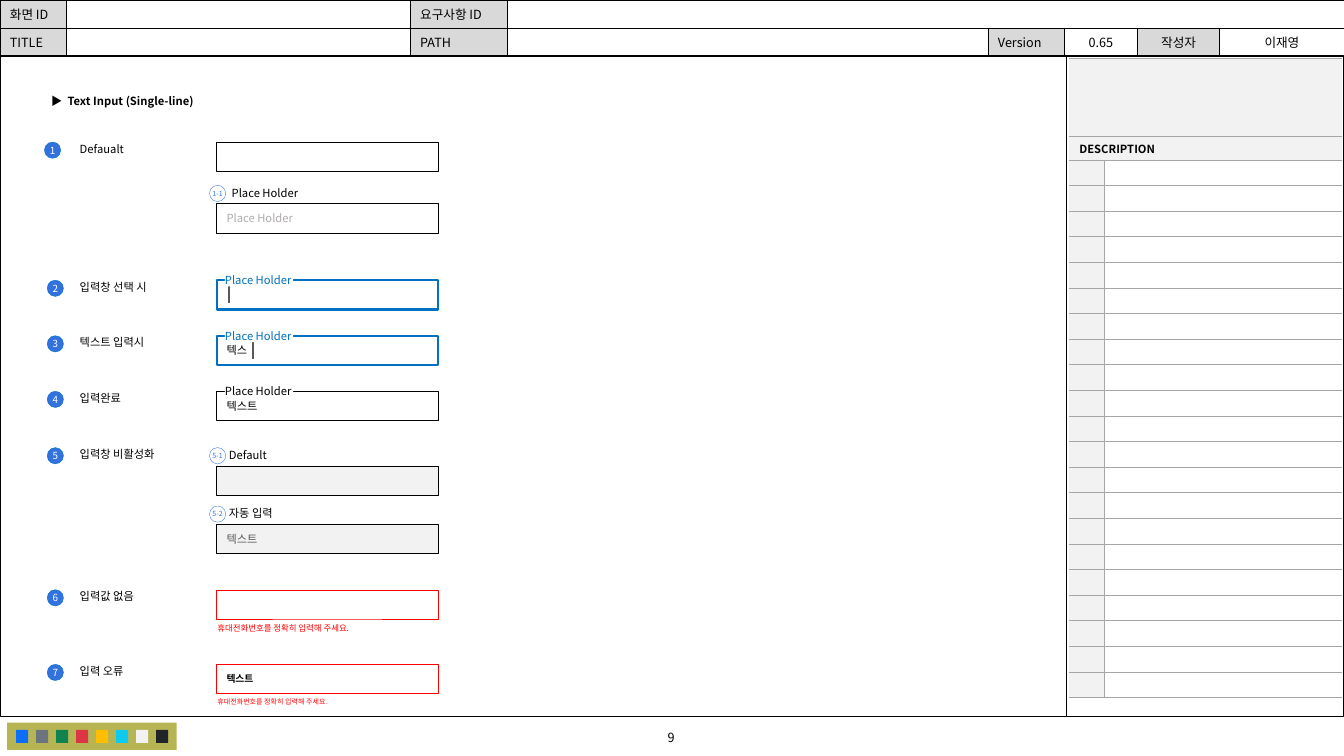
from lxml import etree
from pptx import Presentation
from pptx.dml.color import RGBColor
from pptx.enum.shapes import MSO_CONNECTOR, MSO_SHAPE
from pptx.enum.text import MSO_ANCHOR, MSO_AUTO_SIZE, PP_ALIGN
from pptx.oxml.ns import qn
from pptx.util import Cm, Pt

RECTANGLE, OVAL = MSO_SHAPE.RECTANGLE, MSO_SHAPE.OVAL
STRAIGHT = MSO_CONNECTOR.STRAIGHT
LEFT, CENTER = PP_ALIGN.LEFT, PP_ALIGN.CENTER
TOP, MIDDLE = MSO_ANCHOR.TOP, MSO_ANCHOR.MIDDLE
FONT = "Noto Sans CJK KR"
COLORS = {
    "black": "000000", "white": "FFFFFF", "header": "D9D9D9", "pale": "F2F2F2",
    "rule": "A6A6A6", "muted": "595959", "hint": "AFABAB", "focus": "0070C0",
    "badge": "3272DE", "error": "FF0000", "palette": "B7B553",
}
SWATCHES = ["0D6EFD", "6C757D", "10834E", "DC3545", "FFBE00", "0DCAF0", "F2F2F2", "212529"]
FIELD_LEFT, FIELD_WIDTH, FIELD_HEIGHT = 5.46, 5.59, 0.74
STATES = [
    ("Defaualt", 3.58), ("입력창 선택 시", 7.06), ("텍스트 입력시", 8.46), ("입력완료", 9.86),
    ("입력창 비활성화", 11.28), ("입력값 없음", 14.86), ("입력 오류", 16.74),
]
ERROR_MESSAGE = "휴대전화번호를 정확히 입력해 주세요."
HEADER_ROWS = [
    ["화면 ID", "", "요구사항 ID", "", "", "", "", ""],
    ["TITLE", "", "PATH", "", "Version", "0.65", "작성자", "이재영"],
]
HEADER_WIDTHS = [1.68, 8.66, 2.44, 12.12, 1.93, 1.83, 2.08, 3.13]


def rgb(name):
    return RGBColor.from_string(COLORS.get(name, name))


def write(frame, text, size=8, color="black", bold=False, align=LEFT, anchor=TOP,
          margins=(0.25, 0.13)):
    """Fill a text frame or table cell; margins are horizontal and vertical."""
    frame.margin_left = frame.margin_right = Cm(margins[0])
    frame.margin_top = frame.margin_bottom = Cm(margins[1])
    frame.vertical_anchor = anchor
    para = getattr(frame, "text_frame", frame).paragraphs[0]
    para.alignment = align
    if not text:
        etree.SubElement(para._p, qn("a:endParaRPr"), sz=str(size * 100))
        return
    span = para.add_run()
    span.text = text
    span.font.name, span.font.size, span.font.bold = FONT, Pt(size), bold
    span.font.color.rgb = rgb(color)
    etree.SubElement(span.font._element, qn("a:ea"), typeface=FONT)


def add_box(page, left, top, width, height, fill=None, line=None, weight=0.25,
            kind=RECTANGLE, text="", **text_format):
    box = page.shapes.add_shape(kind, Cm(left), Cm(top), Cm(width), Cm(height))
    box.shadow.inherit = False
    if fill:
        box.fill.solid()
        box.fill.fore_color.rgb = rgb(fill)
    else:
        box.fill.background()
    if line:
        box.line.color.rgb = rgb(line)
        box.line.width = Pt(weight)
    else:
        box.line.fill.background()
    if text:
        box.text_frame.word_wrap = True
        write(box.text_frame, text, **text_format)


def add_text(page, text, left, top, width, height=0.33, margins=(0, 0), **text_format):
    box = page.shapes.add_textbox(Cm(left), Cm(top), Cm(width), Cm(height))
    box.text_frame.word_wrap = True
    write(box.text_frame, text, margins=margins, **text_format)


def add_vertical_line(page, x, top, bottom, color, weight):
    line = page.shapes.add_connector(STRAIGHT, Cm(x), Cm(top), Cm(x), Cm(bottom))
    line.line.color.rgb = rgb(color)
    line.line.width = Pt(weight)
    etree.SubElement(line._element.spPr, qn("a:effectLst"))


def add_badge(page, text, left, top, solid=True):
    fill, line, color, size = (("badge", "focus", "white", 7) if solid
                               else ("white", "badge", "badge", 5))
    add_box(page, left, top, 0.41, 0.41, fill, line, kind=OVAL, text=text,
            size=size, color=color, align=CENTER, anchor=MIDDLE, margins=(0, 0))


def add_field(page, top, text="", fill="white", line="black", weight=0.25, **text_format):
    add_box(page, FIELD_LEFT, top, FIELD_WIDTH, FIELD_HEIGHT, fill, line, weight,
            text=text, anchor=MIDDLE, **text_format)


def add_floating_label(page, field_top, color):
    """Label that interrupts the top edge of a field."""
    add_box(page, 5.67, field_top - 0.17, 1.72, 0.33, "white",
            text="Place Holder", color=color, margins=(0, 0))


def add_caption(page, number, text, top, left):
    add_badge(page, number, 5.28, top, solid=False)
    add_text(page, text, left, top + 0.02, 1.8)


def add_table(page, left, top, widths, heights):
    shape = page.shapes.add_table(len(heights), len(widths), Cm(left), Cm(top),
                                  Cm(sum(widths)), Cm(sum(heights)))
    table = shape.table
    table.first_row = table.horz_banding = False
    for column, width in zip(table.columns, widths):
        column.width = Cm(width)
    for row, height in zip(table.rows, heights):
        row.height = Cm(height)
    return table


def format_cell(cell, fill, color, sides):
    """Set the fill and draw only the borders named in sides, from L, R, T, B."""
    if fill:
        cell.fill.solid()
        cell.fill.fore_color.rgb = rgb(fill)
    else:
        cell.fill.background()
    properties = cell._tc.get_or_add_tcPr()
    for index, side in enumerate("LRTB"):
        border = etree.Element(qn(f"a:ln{side}"), w="6350")
        if side in sides:
            paint = etree.SubElement(border, qn("a:solidFill"))
            etree.SubElement(paint, qn("a:srgbClr"), val=COLORS[color])
        else:
            etree.SubElement(border, qn("a:noFill"))
        properties.insert(index, border)


def add_header(page):
    table = add_table(page, 0, 0, HEADER_WIDTHS, [0.71, 0.71])
    for r, texts in enumerate(HEADER_ROWS):
        for c, text in enumerate(texts):
            cell = table.cell(r, c)
            is_label = bool(text) and c % 2 == 0
            write(cell, text, size=9, align=CENTER if c > 4 else LEFT,
                  anchor=MIDDLE, margins=(0.25, 0.05))
            format_cell(cell, "header" if is_label else "white", "black", "LRTB")
    table.cell(0, 3).merge(table.cell(0, 7))


def add_description(page):
    heights = [1.97, 0.59] + [0.645] * 21
    table = add_table(page, 26.95, 1.47, [0.89, 5.97], heights)
    for r in range(len(heights)):
        for c in range(2):
            cell = table.cell(r, c)
            write(cell, "DESCRIPTION" if (r, c) == (1, 0) else "", bold=True,
                  anchor=MIDDLE, margins=(0.25, 0.03))
            divider = "RL"[c] if r > 1 else ""
            format_cell(cell, "pale" if r < 2 or c == 0 else None, "rule", "TB" + divider)
    for r in range(2):
        table.cell(r, 0).merge(table.cell(r, 1))


def add_frame(page):
    add_box(page, 0, 1.4, 33.86, 16.66, line="black")
    add_text(page, "9", 13.64, 18.26, 6.55, 0.64, size=9, align=CENTER, margins=(0.25, 0.13))
    add_vertical_line(page, 26.87, 1.42, 18.06, "black", 0.5)
    add_box(page, 0.18, 18.21, 4.27, 0.69, "palette")
    for index, color in enumerate(SWATCHES):
        add_box(page, 0.41 + 0.504 * index, 18.39, 0.3, 0.33, color)


def add_title(page):
    title = page.shapes.title
    title.left, title.top, title.width, title.height = Cm(1.04), Cm(2.24), Cm(8.28), Cm(0.61)
    title.text_frame.auto_size = MSO_AUTO_SIZE.NONE
    write(title.text_frame, "▶  Text Input (Single-line)", bold=True)


def add_states(page):
    for number, (label, top) in enumerate(STATES, 1):
        add_badge(page, str(number), 1.12 if number == 1 else 1.19, top)
        add_text(page, label, 2.01, top, 2.16)
    default, selected, typing, done, disabled, missing, invalid = [top for _, top in STATES]

    add_field(page, default)
    add_caption(page, "1-1", "Place Holder", 4.67, 5.84)
    add_field(page, 5.13, "Place Holder", color="hint")

    for top, text, caret, color, weight in [(selected, "", 5.77, "focus", 1.5),
                                            (typing, "텍스", 6.38, "focus", 1.5),
                                            (done, "텍스트", None, "black", 0.25)]:
        add_field(page, top, text, line=color, weight=weight)
        if caret:
            add_vertical_line(page, caret, top + 0.15, top + 0.58, "muted", 1)
        add_floating_label(page, top, color)

    for number, caption, top, text in [("5-1", "Default", disabled, ""),
                                       ("5-2", "자동 입력", 12.75, "텍스트")]:
        add_caption(page, number, caption, top, 5.77)
        add_field(page, top + 0.46, text, fill="pale", color="muted")

    for top, text, size in [(missing, "", 6), (invalid, "텍스트", 5)]:
        add_field(page, top, text, line="error", size=7, bold=True)
        add_text(page, ERROR_MESSAGE, 5.23, top + 0.72, 4.17, 0.5, size=size,
                 color="error", margins=(0.25, 0.13))


def main():
    deck = Presentation()
    deck.slide_width, deck.slide_height = Cm(33.87), Cm(19.05)
    page = deck.slides.add_slide(deck.slide_layouts[5])
    add_header(page)
    add_frame(page)
    add_title(page)
    add_states(page)
    add_description(page)
    deck.save("out.pptx")


if __name__ == "__main__":
    main()
